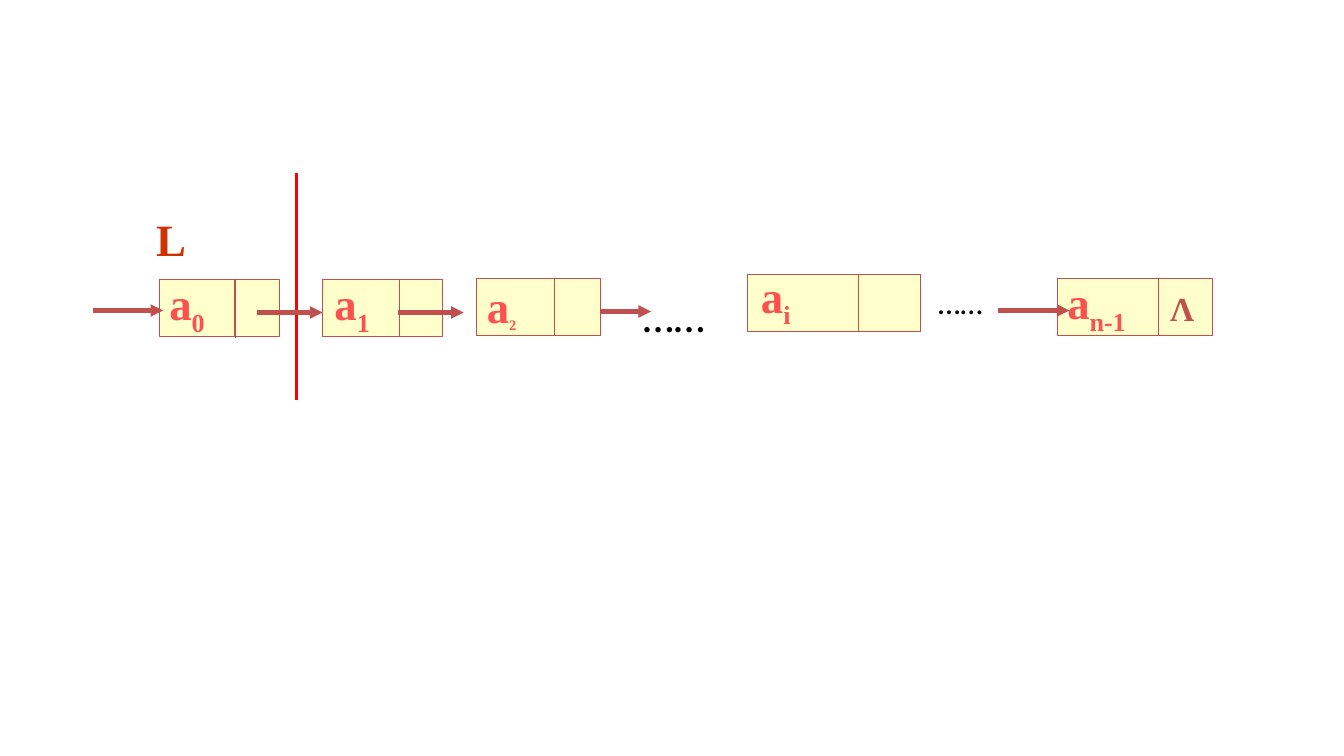
from lxml import etree
from pptx import Presentation
from pptx import util as u
from pptx.dml.color import RGBColor
from pptx.enum import shapes, text
from pptx.oxml import ns

CREAM = RGBColor(0xFF, 0xFF, 0xCC)
BRICK = RGBColor(0xC0, 0x50, 0x4D)
CORAL = RGBColor(0xFF, 0x50, 0x50)
RUST = RGBColor(0xCC, 0x33, 0x00)
RED = RGBColor(0xFF, 0x00, 0x00)
BLACK = RGBColor(0x00, 0x00, 0x00)
NODE_HEIGHT = 41

deck = Presentation()
deck.slide_width, deck.slide_height = u.Pt(960), u.Pt(540)
page = deck.slides.add_slide(deck.slide_layouts[6])


def add_label(words, left, top, width, height=46, size=32, font="Times New Roman",
              color=CORAL, bold=True, wrap=False, subscript="", subscript_size=None):
    box = page.shapes.add_textbox(u.Pt(left), u.Pt(top), u.Pt(width), u.Pt(height))
    box.text_frame.word_wrap = wrap
    box.text_frame.auto_size = text.MSO_AUTO_SIZE.SHAPE_TO_FIT_TEXT
    para = box.text_frame.paragraphs[0]
    for part, part_size in ((words, size), (subscript, subscript_size or size)):
        if part:
            span = para.add_run()
            span.text = part
            span.font.name = font
            span.font.size = u.Pt(part_size)
            span.font.bold = bold
            span.font.color.rgb = color
            if part == subscript:
                span.font._element.set("baseline", "-25000")


def add_line(x1, y1, x2, y2, width=0.75, color=BRICK, arrow=False):
    line = page.shapes.add_connector(
        shapes.MSO_CONNECTOR.STRAIGHT, u.Pt(x1), u.Pt(y1), u.Pt(x2), u.Pt(y2))
    line.line.color.rgb = color
    line.line.width = u.Pt(width)
    if arrow:
        etree.SubElement(line.line._get_or_add_ln(), ns.qn("a:tailEnd"), type="triangle")
    etree.SubElement(line._element.spPr, ns.qn("a:effectLst"))


# List nodes: left, top, width, divider position
nodes = [
    (113.8, 199.4, 85.7, 167.8),
    (230.4, 199.4, 86.0, 285.1),
    (340.6, 198.7, 88.6, 396.0),
    (534.2, 195.8, 123.1, 613.4),
    (755.3, 198.7, 110.9, 827.3),
]
for left, top, width, divider in nodes:
    node = page.shapes.add_shape(shapes.MSO_SHAPE.RECTANGLE, u.Pt(left), u.Pt(top),
                                 u.Pt(width), u.Pt(NODE_HEIGHT))
    node.shadow.inherit = False
    node.fill.solid()
    node.fill.fore_color.rgb = CREAM
    node.line.color.rgb = BRICK
    node.line.width = u.Pt(0.75)
    add_line(divider, top, divider, top + NODE_HEIGHT)
add_line(168.5, 200.2, 168.5, 200.2 + NODE_HEIGHT)

# Node values
add_label("a", 113.8, 193.7, 41.8, subscript="0")
add_label("a", 231.8, 193.7, 41.8, subscript="1")
add_label("a", 340.6, 195.8, 36.7, subscript="2", subscript_size=18)
add_label("a", 536.4, 188.6, 36.7, subscript="i")
add_label("a", 755.3, 193.0, 90.7, subscript="n-1", wrap=True)
add_label("Λ", 828.7, 202.3, 31.7, height=36.7, size=24, color=BRICK)

# Gaps in the list
add_label("……", 452.2, 201.6, 84.2, font="Calibri", color=BLACK, bold=False, wrap=True)
add_label("……", 663.1, 198.0, 84.2, height=35.3, size=23, font="Calibri",
          color=BLACK, bold=False, wrap=True)

# Head name and cut line
add_label("L", 104.4, 147.6, 36, color=RUST)
add_line(211.7, 123.8, 211.7, 285.8, width=2.25, color=RED)

# Pointers: start, end, height on the page
for start, end, y in [(66.2, 116.6, 221.8), (183.6, 230.4, 223.2), (284.4, 331.2, 223.2),
                      (429.1, 465.1, 222.5), (712.8, 763.9, 221.8)]:
    add_line(start, y, end, y, width=3, arrow=True)

deck.save("out.pptx")
